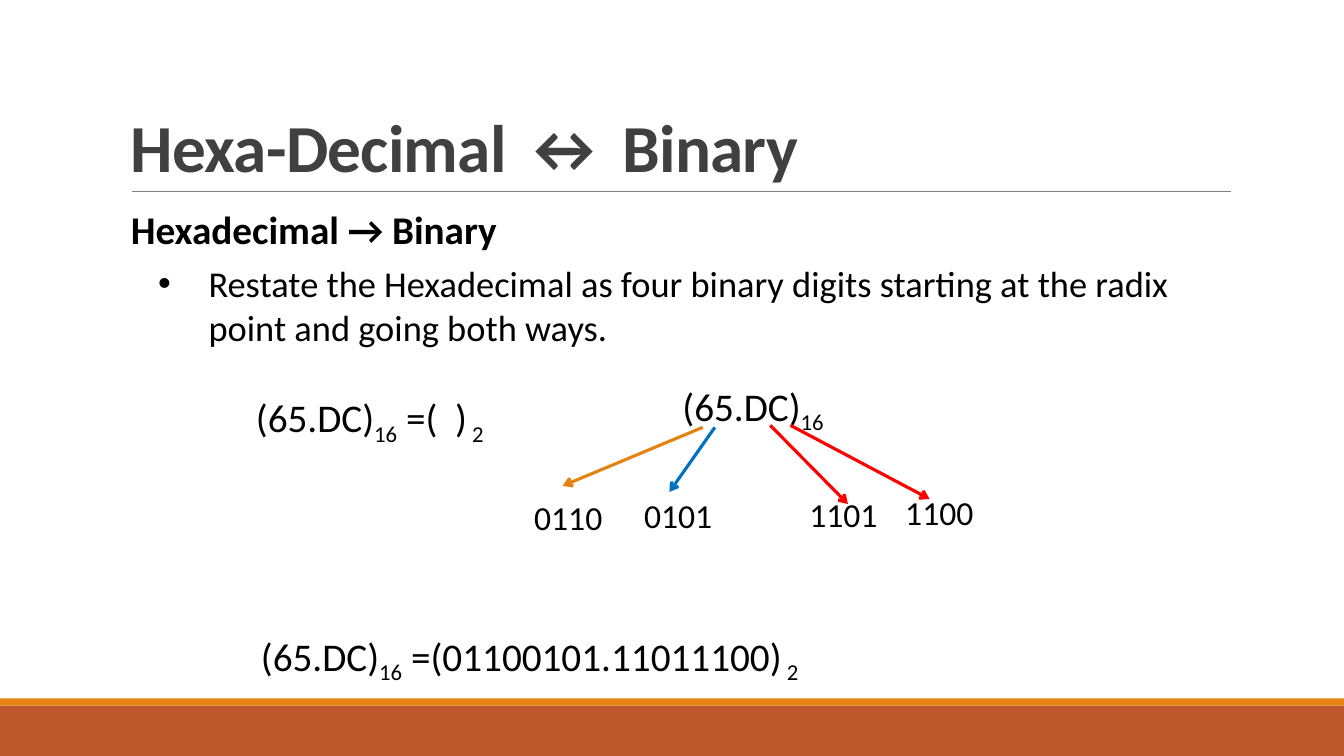
from lxml.etree import SubElement
from pptx import Presentation
from pptx.dml.color import RGBColor
from pptx.enum.shapes import MSO_CONNECTOR as Connector, MSO_SHAPE as Shape
from pptx.enum.text import MSO_ANCHOR as Anchor
from pptx.oxml.ns import qn
from pptx.util import Pt

PX = 9144
COLORS = {
    "title": "404040", "text": "000000", "rule": "808080", "rust": "BD582C",
    "orange": "E48312", "blue": "0070C0", "red": "FF0000",
}


def emu(*lengths):
    return [length * PX for length in lengths]


class SlideBuilder:
    font_name = "Calibri"

    def __init__(self, slide):
        self.slide = slide

    def color(self, name):
        return RGBColor.from_string(COLORS[name])

    def band(self, box, color):
        band = self.slide.shapes.add_shape(Shape.RECTANGLE, *emu(*box))
        band.shadow.inherit = False
        band.fill.solid()
        band.fill.fore_color.rgb = self.color(color)
        band.line.fill.background()

    def line(self, ends, color, width, arrow=False):
        line = self.slide.shapes.add_connector(Connector.STRAIGHT, *emu(*ends))
        line.line.color.rgb = self.color(color)
        line.line.width = Pt(width)
        if arrow:
            SubElement(line.line._get_or_add_ln(), qn("a:tailEnd"), type="arrow")
        SubElement(line._element.spPr, qn("a:effectLst"))

    def text(self, box, parts, size, bold=False, color="text"):
        """Every second part is a subscript."""
        frame = self.slide.shapes.add_textbox(*emu(*box)).text_frame
        frame.word_wrap = True
        paragraph = frame.paragraphs[0]
        style = {"name": self.font_name, "size": Pt(size), "bold": bold}
        for index, part in enumerate(parts):
            run = paragraph.add_run()
            run.text = part
            for attribute, value in style.items():
                setattr(run.font, attribute, value)
            run.font.color.rgb = self.color(color)
            if index % 2:
                run._r.get_or_add_rPr().set("baseline", "-25000")
        return frame

    def title(self, box, wording):
        frame = self.text(box, [wording], 48, True, "title")
        frame.vertical_anchor = Anchor.BOTTOM
        heading = frame.paragraphs[0]
        heading.line_spacing = 0.85
        heading.runs[0]._r.get_or_add_rPr().set("spc", "-50")

    def bullet(self, box, wording):
        rule = self.text(box, [wording], 26).paragraphs[0]
        properties = rule._p.get_or_add_pPr()
        for attribute, value in {"marL": 50, "indent": -50}.items():
            properties.set(attribute, str(value * PX))
        SubElement(properties, qn("a:buFont"), typeface="Arial")
        SubElement(properties, qn("a:buChar"), char="•")


def main():
    deck = Presentation()
    deck.slide_width, deck.slide_height = emu(1333, 750)
    page = SlideBuilder(deck.slides.add_slide(deck.slide_layouts[6]))

    page.band((0, 700, 1333, 50), "rust")
    page.band((0, 693, 1333, 7), "orange")
    page.line((131, 190, 1221, 190), "rule", 0.5)

    page.title((120, 31, 1100, 159), "Hexa-Decimal ↔ Binary")
    page.text((120, 199, 425, 57), ["Hexadecimal → Binary"], 28, bold=True)
    page.bullet(
        (147, 254, 1060, 98),
        "Restate the Hexadecimal as four binary digits starting at the radix "
        "point and going both ways.",
    )

    hexadecimal = ["(65.DC)", "16"]
    page.text((244, 385, 318, 57), hexadecimal + [" =(  )", " 2"], 28)
    page.text((667, 374, 191, 57), hexadecimal, 28)
    page.text((249, 622, 657, 57), hexadecimal + [" =(01100101.11011100)", " 2"], 28)

    digit_groups = [
        ("0110", (520, 488, 92, 50), (697, 424, 558, 482), "orange"),
        ("0101", (629, 486, 95, 50), (709, 424, 664, 488), "blue"),
        ("1101", (793, 485, 90, 50), (764, 422, 841, 500), "red"),
        ("1100", (888, 483, 95, 50), (784, 422, 922, 495), "red"),
    ]
    for bits, box, ends, color in digit_groups:
        page.text(box, [bits], 24)
        page.line(ends, color, 2.25, arrow=True)

    deck.save("out.pptx")


if __name__ == "__main__":
    main()
